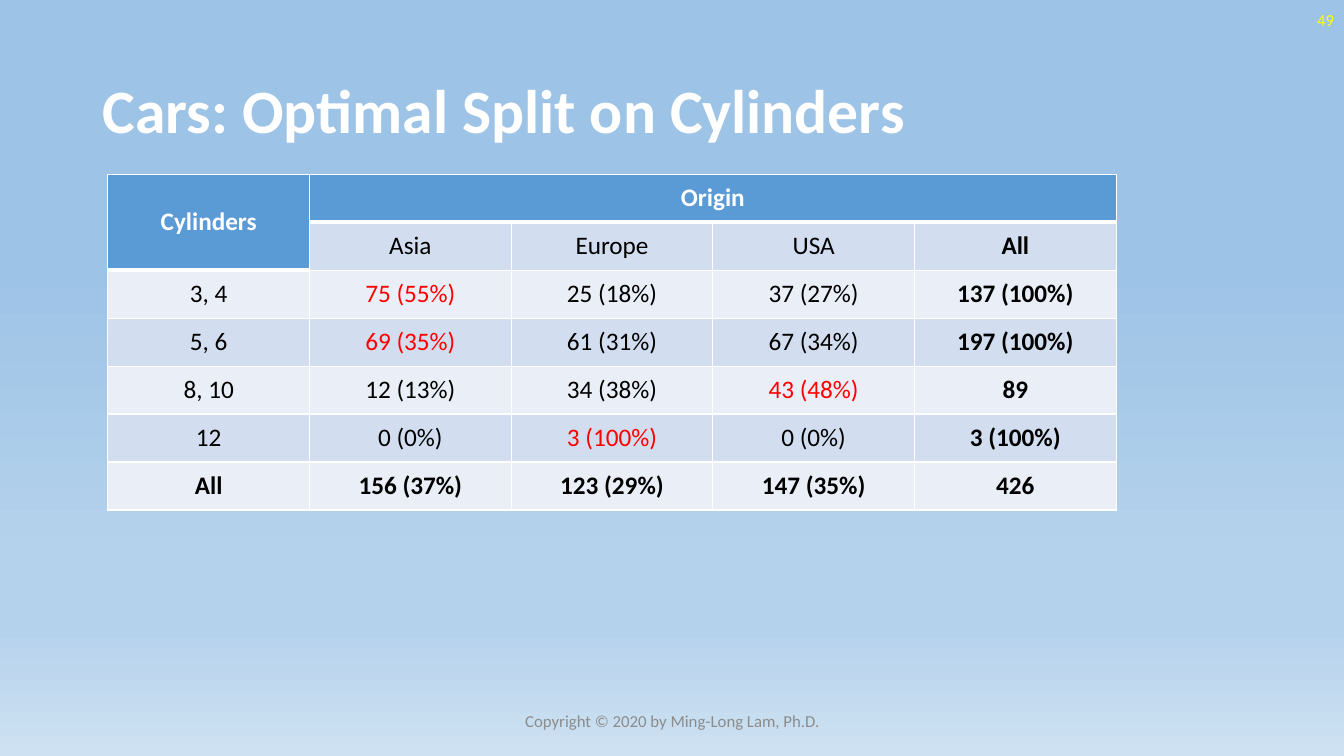
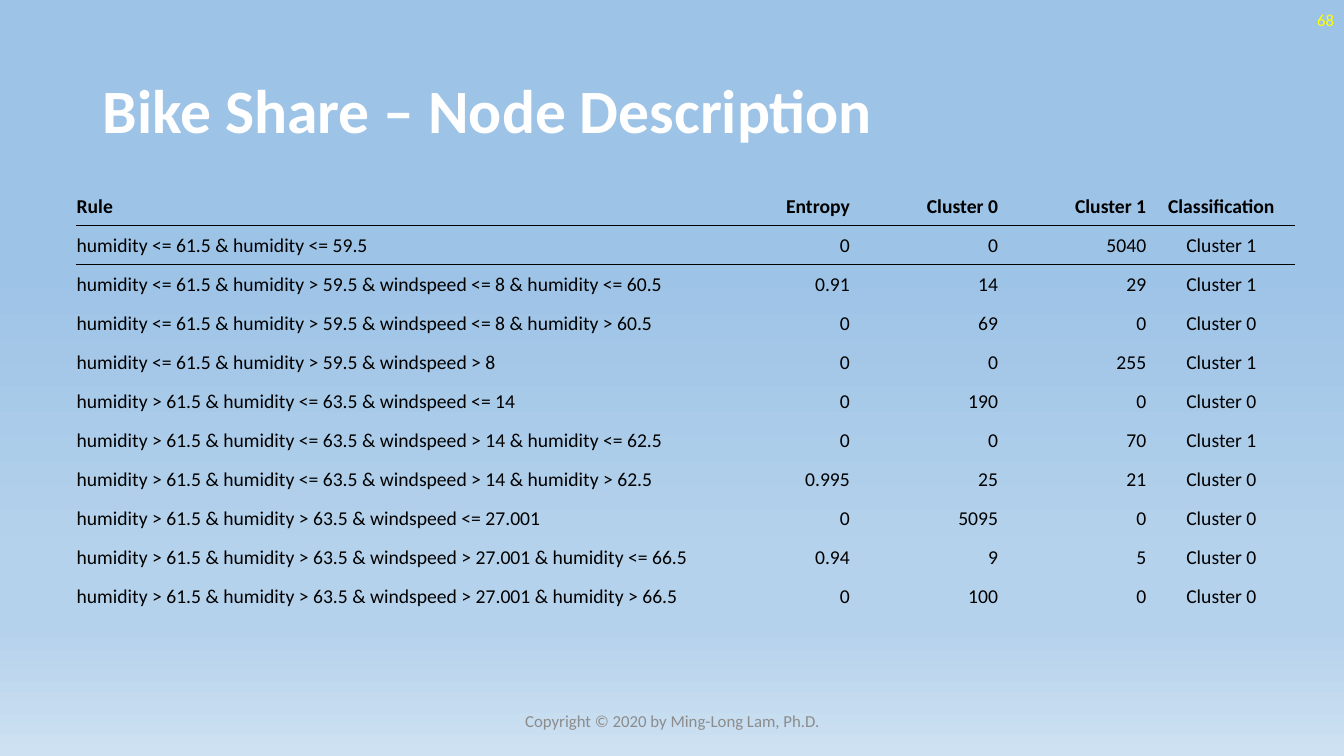
from lxml import etree
from pptx import Presentation
from pptx.dml.color import RGBColor
from pptx.enum.text import MSO_ANCHOR, PP_ALIGN
from pptx.oxml.ns import qn
from pptx.util import Inches, Pt

rgb = RGBColor.from_string
FONT = "Calibri"
WHITE, BLACK, RED, YELLOW, GREY = "FFFFFF", "000000", "FF0000", "FFFF00", "8C8C8C"
HEADER_BLUE, BAND_DARK, BAND_LIGHT = "5B9BD5", "D2DEEF", "EAEFF7"
BACKGROUND_STOPS = [(35, "9DC3E6"), (74, "B5D2EC"), (83, "B5D2EC"), (100, "CEE1F2")]
PLAIN_TABLE_STYLE = "{2D5ABB26-0587-4C30-8999-92F81FD0307C}"
LEFT, CENTER, RIGHT = PP_ALIGN.LEFT, PP_ALIGN.CENTER, PP_ALIGN.RIGHT
COPYRIGHT = "Copyright © 2020 by Ming-Long Lam, Ph.D."

ORIGIN_ROWS = [
    ["Cylinders", "Origin", "", "", ""],
    ["", "Asia", "Europe", "USA", "All"],
    ["3, 4", "75 (55%)", "25 (18%)", "37 (27%)", "137 (100%)"],
    ["5, 6", "69 (35%)", "61 (31%)", "67 (34%)", "197 (100%)"],
    ["8, 10", "12 (13%)", "34 (38%)", "43 (48%)", "89"],
    ["12", "0 (0%)", "3 (100%)", "0 (0%)", "3 (100%)"],
    ["All", "156 (37%)", "123 (29%)", "147 (35%)", "426"],
]
RULE_ROWS = [
    ["Rule", "Entropy", "Cluster 0", "Cluster 1", "Classification"],
    ["humidity <= 61.5 & humidity <= 59.5", "0", "0", "5040", "Cluster 1"],
    ["humidity <= 61.5 & humidity > 59.5 & windspeed <= 8 & humidity <= 60.5",
     "0.91", "14", "29", "Cluster 1"],
    ["humidity <= 61.5 & humidity > 59.5 & windspeed <= 8 & humidity > 60.5",
     "0", "69", "0", "Cluster 0"],
    ["humidity <= 61.5 & humidity > 59.5 & windspeed > 8", "0", "0", "255", "Cluster 1"],
    ["humidity > 61.5 & humidity <= 63.5 & windspeed <= 14", "0", "190", "0", "Cluster 0"],
    ["humidity > 61.5 & humidity <= 63.5 & windspeed > 14 & humidity <= 62.5",
     "0", "0", "70", "Cluster 1"],
    ["humidity > 61.5 & humidity <= 63.5 & windspeed > 14 & humidity > 62.5",
     "0.995", "25", "21", "Cluster 0"],
    ["humidity > 61.5 & humidity > 63.5 & windspeed <= 27.001", "0", "5095", "0", "Cluster 0"],
    ["humidity > 61.5 & humidity > 63.5 & windspeed > 27.001 & humidity <= 66.5",
     "0.94", "9", "5", "Cluster 0"],
    ["humidity > 61.5 & humidity > 63.5 & windspeed > 27.001 & humidity > 66.5",
     "0", "100", "0", "Cluster 0"],
]
# title, slide number, table rows, table box
SLIDES = [
    ("Cars: Optimal Split on Cylinders", "49", ORIGIN_ROWS, (1.07, 1.73, 10, 3.33)),
    ("Bike Share – Node Description", "68", RULE_ROWS, (0.75, 1.85, 12.09, 4.26)),
]


def write_text(holder, text, size, colour, align, bold=False):
    """Write one formatted paragraph into a text frame and return it."""
    paragraph = holder.paragraphs[0]
    paragraph.text = text
    paragraph.alignment = align
    font = paragraph.font
    font.name, font.size, font.bold = FONT, Pt(size), bold
    font.color.rgb = rgb(colour)
    return paragraph


def add_borders(cell, colour, widths):
    """Draw cell edges; widths maps L, R, T, B (in that order) to points."""
    properties = cell._tc.get_or_add_tcPr()
    for edge, width in widths.items():
        line = etree.SubElement(properties, qn(f"a:ln{edge}"), w=str(Pt(width)))
        fill = etree.SubElement(line, qn("a:solidFill"))
        etree.SubElement(fill, qn("a:srgbClr"), val=colour)


presentation = Presentation()
presentation.slide_width, presentation.slide_height = Inches(13.33), Inches(7.5)

# Gradient background, shared through the master
master = presentation.slide_master
background = master.background.fill
background.gradient()
background.gradient_angle = 270
stop_list = master.element.find(".//" + qn("p:bgPr")).find(".//" + qn("a:gsLst"))
for old_stop in list(stop_list):
    stop_list.remove(old_stop)
for percent, colour in BACKGROUND_STOPS:
    stop = etree.SubElement(stop_list, qn("a:gs"), pos=str(percent * 1000))
    etree.SubElement(stop, qn("a:srgbClr"), val=colour)

# Title, footer, slide number and bare table of each slide
tables = []
for title_text, number, rows, table_box in SLIDES:
    slide = presentation.slides.add_slide(presentation.slide_layouts[5])
    title = slide.shapes.title
    title.left, title.top = Inches(0.92), Inches(0.4)
    title.width, title.height = Inches(11.5), Inches(1.45)
    title.text_frame.vertical_anchor = MSO_ANCHOR.MIDDLE
    write_text(title.text_frame, title_text, 44, WHITE, LEFT, True).line_spacing = 0.9

    for text, colour, align, box in [
        (COPYRIGHT, GREY, CENTER, (4.42, 6.95, 4.5, 0.4)),
        (number, YELLOW, RIGHT, (10.33, 0, 3, 0.4)),
    ]:
        frame = slide.shapes.add_textbox(*map(Inches, box)).text_frame
        frame.word_wrap = True
        frame.vertical_anchor = MSO_ANCHOR.MIDDLE
        write_text(frame, text, 12, colour, align)

    table = slide.shapes.add_table(len(rows), len(rows[0]), *map(Inches, table_box)).table
    table.first_row = table.horz_banding = False
    table._tbl.tblPr.find(qn("a:tableStyleId")).text = PLAIN_TABLE_STYLE
    tables.append(table)
origin_table, rule_table = tables

# Cylinders by origin: the largest count in each group is red
origin_table.cell(0, 0).merge(origin_table.cell(1, 0))
origin_table.cell(0, 1).merge(origin_table.cell(0, 4))
total_row, total_column = len(ORIGIN_ROWS) - 1, len(ORIGIN_ROWS[0]) - 1
for r, row in enumerate(ORIGIN_ROWS):
    is_group = 2 <= r < total_row
    counts = [int(text.split()[0]) for text in row[1:total_column]] if is_group else []
    for c, text in enumerate(row):
        header_rows = 2 if c == 0 else 1
        is_header = r < header_rows
        is_largest = is_group and 0 < c < total_column and counts[c - 1] == max(counts)
        cell = origin_table.cell(r, c)
        cell.vertical_anchor = MSO_ANCHOR.MIDDLE
        add_borders(cell, WHITE, {"L": 1, "R": 1, "T": 3 if r == header_rows else 1,
                                  "B": 3 if is_header else 1})
        cell.fill.solid()
        band = BAND_DARK if r % 2 else BAND_LIGHT
        cell.fill.fore_color.rgb = rgb(HEADER_BLUE if is_header else band)
        if text:
            text_colour = WHITE if is_header else RED if is_largest else BLACK
            bold = is_header or r == total_row or c == total_column
            write_text(cell.text_frame, text, 18, text_colour, CENTER, bold)

# Node rules: only a thin line under the header
for column, width in zip(rule_table.columns, [6.22] + [1.47] * 4):
    column.width = Inches(width)
for r, row in enumerate(RULE_ROWS):
    for c, (text, align) in enumerate(zip(row, [LEFT, RIGHT, RIGHT, RIGHT, CENTER])):
        cell = rule_table.cell(r, c)
        cell.vertical_anchor = MSO_ANCHOR.MIDDLE
        cell.margin_left = cell.margin_right = cell.margin_top = Inches(0.01)
        cell.margin_bottom = 0
        if r < 2:
            add_borders(cell, BLACK, {"T" if r else "B": 0.5})
        cell.fill.background()
        write_text(cell.text_frame, text, 14, BLACK, align, r == 0)

presentation.save("out.pptx")
